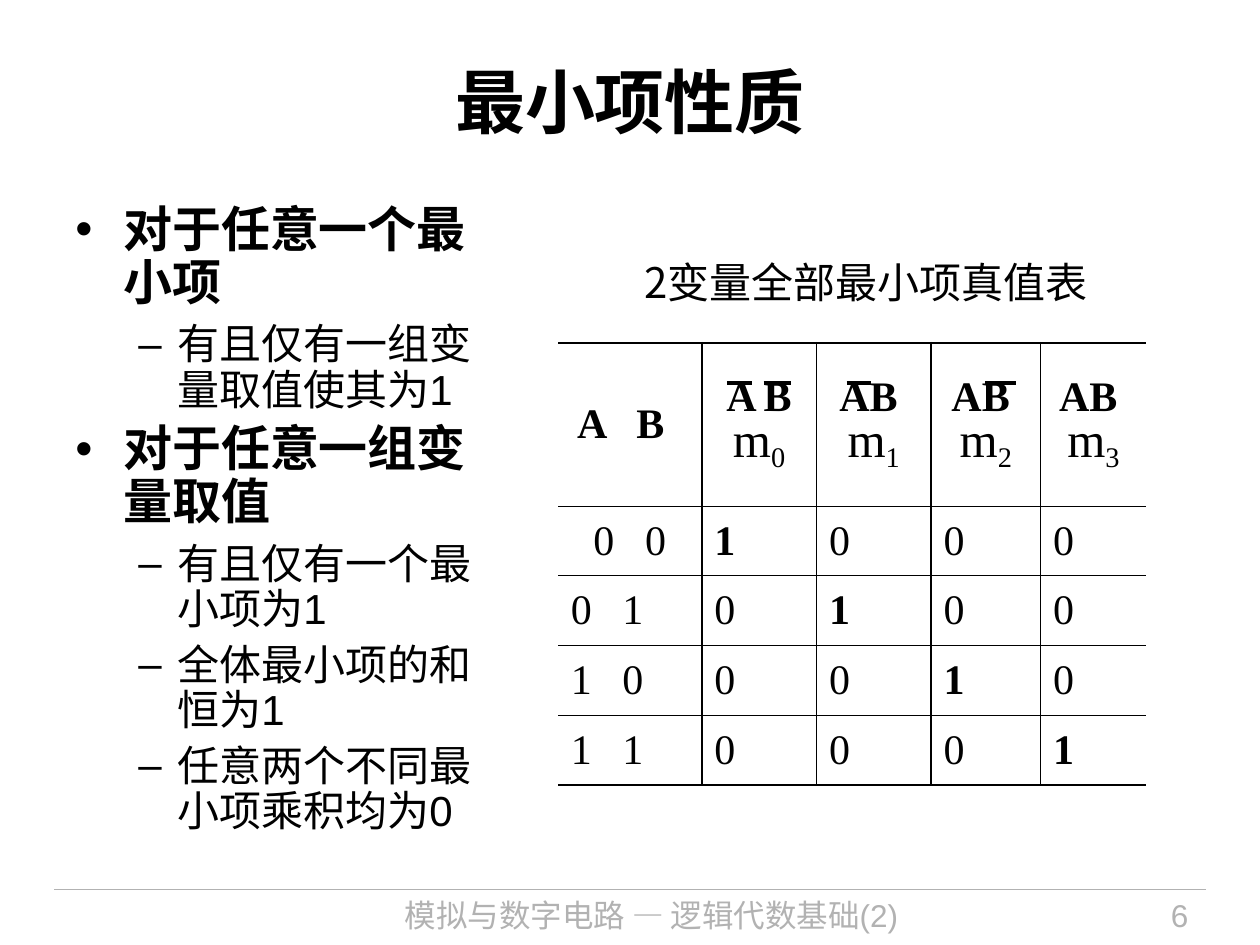
"""Build a slide on minterm properties with a two-variable truth table."""
from lxml.etree import SubElement
from pptx import Presentation
from pptx.dml.color import RGBColor
from pptx.enum.shapes import MSO_CONNECTOR
from pptx.enum.text import MSO_ANCHOR, PP_ALIGN
from pptx.oxml import parse_xml
from pptx.oxml.ns import nsdecls, qn
from pptx.util import Inches, Pt

COLORS = {"ink": "000000", "footer": "B2B2B2"}
SERIF = "Times New Roman"


def style(paragraph, size, font="Arial", color="ink", bold=False, align=PP_ALIGN.LEFT):
    paragraph.alignment = align
    paragraph.font.size = Pt(size)
    paragraph.font.name = font
    paragraph.font.bold = bold
    paragraph.font.color.rgb = RGBColor.from_string(COLORS[color])


def add_line(left, right, y, color, width):
    line = slide.shapes.add_connector(
        MSO_CONNECTOR.STRAIGHT, Inches(left), Inches(y), Inches(right), Inches(y))
    line.line.color.rgb = RGBColor.from_string(COLORS[color])
    line.line.width = Pt(width)
    SubElement(line._element.spPr, qn("a:effectLst"))


prs = Presentation()
prs.slide_width, prs.slide_height = Inches(10), Inches(7.5)
slide = prs.slides.add_slide(prs.slide_layouts[5])

title = slide.shapes.title
title.left, title.top, title.width, title.height = map(Inches, (0.5, 0.17, 9, 1.25))
title.text_frame.text = "最小项性质"
title.text_frame.vertical_anchor = MSO_ANCHOR.MIDDLE
style(title.text_frame.paragraphs[0], 40, bold=True, align=PP_ALIGN.CENTER)

add_line(0.43, 9.57, 7.06, "footer", 0.75)
labels = [
    ("模拟与数字电路 — 逻辑代数基础(2)", (2.49, 7.06, 5.36, 0.44), 18, "Arial", "footer", PP_ALIGN.CENTER, True),
    ("6", (8.2, 7.06, 1.33, 0.44), 18, "Arial", "footer", PP_ALIGN.RIGHT, True),
    ("2变量全部最小项真值表 ", (4.97, 1.99, 3.88, 0.5), 24, "Noto Sans CJK SC", "ink", PP_ALIGN.CENTER, False),
]
for text, place, size, font, color, align, wrap in labels:
    label = slide.shapes.add_textbox(*map(Inches, place)).text_frame
    label.word_wrap = wrap
    label.text = text
    style(label.paragraphs[0], size, font, color, align=align)

properties = [
    (0, "对于任意一个最小项"),
    (1, "有且仅有一组变量取值使其为1"),
    (0, "对于任意一组变量取值"),
    (1, "有且仅有一个最小项为1"),
    (1, "全体最小项的和恒为1"),
    (1, "任意两个不同最小项乘积均为0"),
]
levels = [("•", 0.38, -0.38, 28, 7), ("–", 0.81, -0.31, 24, 6)]
body = slide.shapes.add_textbox(*map(Inches, (0.5, 1.58, 3.55, 5.38))).text_frame
body.word_wrap = True
for index, (level, text) in enumerate(properties):
    bullet, margin, indent, size, space_after = levels[level]
    item = body.add_paragraph() if index else body.paragraphs[0]
    item.text = text
    item.level = level
    item.line_spacing = 0.9
    item.space_after = Pt(space_after)
    item_props = item._p.get_or_add_pPr()
    item_props.set("marL", str(Inches(margin)))
    item_props.set("indent", str(Inches(indent)))
    SubElement(item_props, qn("a:buFont"), typeface="Arial")
    SubElement(item_props, qn("a:buChar"), char=bullet)
    style(item, size, bold=level == 0)

col_widths = [1.14, 0.91, 0.91, 0.87, 0.84]
row_heights = [1.3, 0.55, 0.55, 0.56, 0.55]
truth_table = slide.shapes.add_table(
    5, 5, Inches(4.43), Inches(2.72), Inches(sum(col_widths)), Inches(sum(row_heights))).table
truth_table.first_row = truth_table.horz_banding = False
for column, width in zip(truth_table.columns, col_widths):
    column.width = Inches(width)
for row, height in zip(truth_table.rows, row_heights):
    row.height = Inches(height)

inputs = ["A\tB", "0\t0", "0\t1", "1\t0", "1\t1"]
input_margins = [0.15, 0.28, 0.1, 0.1, 0.1]
for r in range(5):
    for c in range(5):
        cell = truth_table.cell(r, c)
        cell.vertical_anchor = MSO_ANCHOR.MIDDLE
        cell.fill.background()
        first = cell.text_frame.paragraphs[0]
        if c == 0:
            cell.margin_left = Inches(input_margins[r])
            first.text = inputs[r]
            first.space_after = Pt(6)
            tabs = SubElement(first._p.get_or_add_pPr(), qn("a:tabLst"))
            SubElement(tabs, qn("a:tab"), pos=str(Inches(0.41 if r else 0.47)), algn="l")
            style(first, 24, SERIF, bold=r == 0)
        elif r == 0:
            for text in ("A", " ", "B") if c == 1 else ("AB ",):
                run = first.add_run()
                run.text = text
                if text == " ":
                    run.font.size = Pt(16)
            style(first, 24, SERIF, bold=True, align=PP_ALIGN.CENTER)
            minterm = cell.text_frame.add_paragraph()
            minterm.add_run().text = "m"
            subscript = minterm.add_run()
            subscript.text = str(c - 1)
            subscript._r.get_or_add_rPr().set("baseline", "-20000")
            style(minterm, 28, SERIF, align=PP_ALIGN.CENTER)
            first.line_spacing = minterm.line_spacing = 0.8
        else:
            first.text = "1" if r == c else "0"
            first.space_after = Pt(6)
            style(first, 24, SERIF, bold=r == c)
        borders = {
            "L": 0 if c == 0 else 1.08 if c == 1 else 0.75,
            "R": 0 if c == 4 else 1.08 if c == 0 else 0.75,
            "T": 1.08 if r < 2 else 0.75,
            "B": 1.08 if r in (0, 4) else 0.75,
        }
        for position, (side, width) in enumerate(borders.items()):
            paint = f'<a:solidFill><a:srgbClr val="{COLORS["ink"]}"/></a:solidFill>' if width else "<a:noFill/>"
            cell._tc.get_or_add_tcPr().insert(position, parse_xml(
                f'<a:ln{side} {nsdecls("a")} w="{Pt(width)}">{paint}</a:ln{side}>'))

for left, right in [(5.77, 5.97), (6.06, 6.28), (6.72, 6.91), (7.82, 8.06)]:
    add_line(left, right, 3.04, "ink", 2.25)

prs.save("out.pptx")
